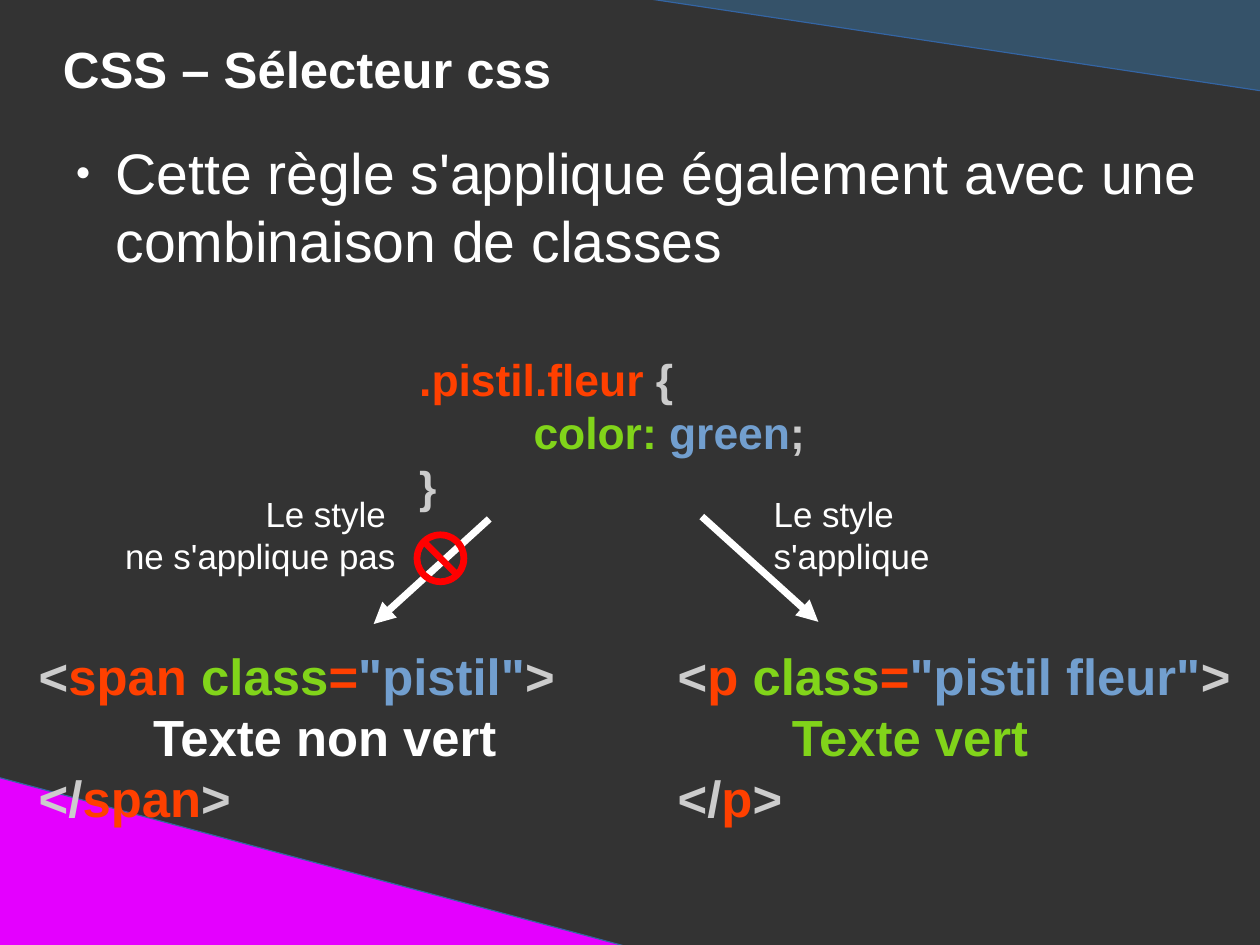
from dataclasses import dataclass

from lxml.etree import SubElement
from pptx import Presentation
from pptx.dml.color import RGBColor
from pptx.enum.shapes import MSO_CONNECTOR as Connector, MSO_SHAPE as Shape
from pptx.enum.text import MSO_ANCHOR as Anchor, MSO_AUTO_SIZE as AutoSize, PP_ALIGN as Align
from pptx.oxml.ns import qn
from pptx.util import Pt


@dataclass(frozen=True)
class Theme:
    font: str = "Arial"
    background: str = "333333"
    text: str = "FFFFFF"
    tag: str = "FF4000"
    attribute: str = "81D41A"
    value: str = "729FCF"
    punctuation: str = "CCCCCC"
    top_corner: str = "355269"
    bottom_corner: str = "E400FF"
    corner_edge: str = "3465A4"
    forbidden: str = "FF0000"
    title_size: int = 32
    body_size: int = 36
    rule_size: int = 28
    markup_size: int = 32
    label_size: int = 22


THEME = Theme()
TAB = 72
LINE_BREAK = ("\n", None)


def color(value):
    return RGBColor.from_string(value)


def place(shape, box):
    shape.left, shape.top, shape.width, shape.height = map(Pt, box)


def prepare_frame(frame, margins=(0, 0)):
    frame.word_wrap = True
    frame.auto_size = AutoSize.NONE
    frame.vertical_anchor = Anchor.TOP
    frame.margin_left = frame.margin_right = Pt(margins[0])
    frame.margin_top = frame.margin_bottom = Pt(margins[1])


def style_paragraph(paragraph, size, bold=False, align=Align.LEFT):
    paragraph.alignment = align
    paragraph.line_spacing = 1.0
    paragraph.space_before = Pt(0)
    font = paragraph.font
    font.name, font.size, font.bold = THEME.font, Pt(size), bold
    font.color.rgb = color(THEME.text)


def fill_placeholder(placeholder, box, text, size, bold=False):
    place(placeholder, box)
    prepare_frame(placeholder.text_frame)
    placeholder.text_frame.text = text
    paragraph = placeholder.text_frame.paragraphs[0]
    style_paragraph(paragraph, size, bold)
    return paragraph


def add_bullet(paragraph):
    properties = paragraph._p.get_or_add_pPr()
    properties.set("marL", str(Pt(33.84)))
    properties.set("indent", str(-Pt(25.2)))
    bullet_color = properties.makeelement(qn("a:buClr"))
    SubElement(bullet_color, qn("a:srgbClr"), val=THEME.text)
    bullet_size = properties.makeelement(qn("a:buSzPct"), val="45000")
    bullet = properties.makeelement(qn("a:buChar"), char="●")
    defaults = properties.find(qn("a:defRPr"))
    for element in (bullet_color, bullet_size, bullet):
        defaults.addprevious(element)


def add_tab_stop(paragraph):
    stops = SubElement(paragraph._p.get_or_add_pPr(), qn("a:tabLst"))
    SubElement(stops, qn("a:tab"), pos=str(Pt(TAB)), algn="l")


def add_code(slide, box, blocks, size):
    frame = slide.shapes.add_textbox(*map(Pt, box)).text_frame
    prepare_frame(frame, (7.2, 3.6))
    for number, block in enumerate(blocks):
        paragraph = frame.add_paragraph() if number else frame.paragraphs[0]
        add_tab_stop(paragraph)
        style_paragraph(paragraph, size, bold=True)
        for token in block:
            if token == LINE_BREAK:
                paragraph.add_line_break()
                continue
            run = paragraph.add_run()
            run.text = token[0]
            run.font.color.rgb = color(token[1])


def markup(tag, classes, content, content_color):
    return [[
        ("<", THEME.punctuation), (f"{tag} ", THEME.tag), ("class", THEME.attribute),
        ("=", THEME.tag), (f'"{classes}"', THEME.value), ("> ", THEME.punctuation),
        LINE_BREAK,
        ("\t", THEME.punctuation), (content, content_color),
        LINE_BREAK,
        ("</", THEME.punctuation), (tag, THEME.tag), (">", THEME.punctuation),
    ]]


def add_label(slide, left, text, align):
    frame = slide.shapes.add_textbox(Pt(left), Pt(310.3), Pt(175.7), Pt(65.5)).text_frame
    prepare_frame(frame)
    paragraph = frame.paragraphs[0]
    paragraph.text = text
    style_paragraph(paragraph, THEME.label_size, align=align)


def add_solid(slide, kind, box, fill, edge=None):
    solid = slide.shapes.add_shape(kind, *map(Pt, box))
    solid.shadow.inherit = False
    solid.fill.solid()
    solid.fill.fore_color.rgb = color(fill)
    if edge:
        solid.line.color.rgb = color(edge)
        solid.line.width = Pt(0)
    else:
        solid.line.fill.background()
    return solid


def add_arrow(slide, start, end):
    arrow = slide.shapes.add_connector(Connector.STRAIGHT, *map(Pt, start + end))
    arrow.line.color.rgb = color(THEME.text)
    arrow.line.width = Pt(4.5)
    SubElement(arrow.line._get_or_add_ln(), qn("a:tailEnd"), type="triangle")
    SubElement(arrow._element.spPr, qn("a:effectLst"))


def main():
    deck = Presentation()
    deck.slide_width, deck.slide_height = Pt(793.7), Pt(595.28)
    slide = deck.slides.add_slide(deck.slide_layouts[1])
    slide.background.fill.solid()
    slide.background.fill.fore_color.rgb = color(THEME.background)

    top_corner = add_solid(slide, Shape.RIGHT_TRIANGLE, (385.2, -4.3, 411.8, 61.9),
                           THEME.top_corner, THEME.corner_edge)
    top_corner.rotation = 180
    add_solid(slide, Shape.RIGHT_TRIANGLE, (-1.4, 489.6, 411.8, 110.9),
              THEME.bottom_corner, THEME.corner_edge)

    title, body = slide.placeholders
    fill_placeholder(title, (39.6, 23.8, 714.2, 49), "CSS – Sélecteur css",
                     THEME.title_size, bold=True)
    statement = fill_placeholder(
        body, (38.9, 86.4, 731.5, 131),
        "Cette règle s'applique également avec une combinaison de classes", THEME.body_size)
    add_bullet(statement)

    rule = [
        [(".pistil.fleur ", THEME.tag), ("{", THEME.punctuation)],
        [("\tcolor: ", THEME.attribute), ("green", THEME.value), (";", THEME.punctuation)],
        [("}", THEME.punctuation)],
    ]
    add_code(slide, (17.3, 402.5, 356.4, 153.4),
             markup("span", "pistil", "Texte non vert ", THEME.text), THEME.markup_size)
    add_code(slide, (257, 218.2, 270, 134.6), rule, THEME.rule_size)
    add_code(slide, (419.8, 402.5, 373.6, 153.4),
             markup("p", "pistil fleur", "Texte vert", THEME.attribute), THEME.markup_size)

    add_arrow(slide, (308.2, 326.9), (235.4, 393.1))
    add_arrow(slide, (442.1, 325.4), (515.5, 391.7))
    forbidden = add_solid(slide, Shape.NO_SYMBOL, (260.6, 334.8, 33.8, 33.8), THEME.forbidden)
    forbidden.adjustments[0] = 0.125

    add_label(slide, 73.4, "Le style \vne s'applique pas", Align.RIGHT)
    add_label(slide, 487.4, "Le style \vs'applique", Align.LEFT)
    deck.save("out.pptx")


if __name__ == "__main__":
    main()
